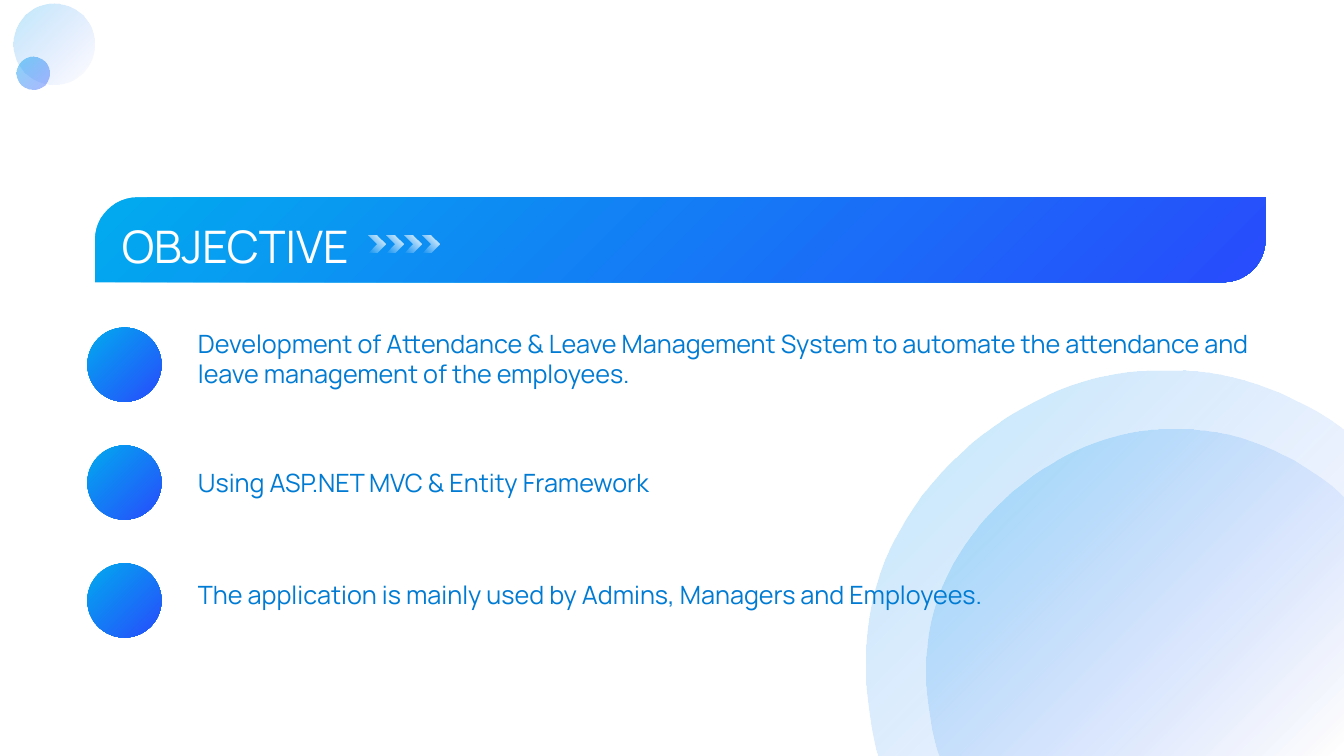
from lxml.etree import SubElement
from pptx import Presentation
from pptx.dml.color import RGBColor
from pptx.enum.shapes import MSO_SHAPE
from pptx.oxml.ns import qn
from pptx.util import Pt

HUES = {"sky": "01ABEF", "blue": "284BFC", "white": "FFFFFF",
        "text": "007BD3", "navy": "034373"}
SOLID = [("sky", 100), ("blue", 100)]
FAINT = [("sky", 26), ("blue", 0)]
MID = [("sky", 48), ("blue", 39)]
GLOW = [("white", 0), ("white", 100)]
INK = [("text", 100), ("navy", 100)]


def paint(fill, stops, angle=315):
    """Fill with a two-stop gradient of (hue, opacity) at a counter-clockwise angle."""
    fill.gradient()
    fill.gradient_angle = angle
    for stop, place, (hue, alpha) in zip(fill.gradient_stops, (0, 1), stops):
        stop.position = place
        stop.color.rgb = RGBColor.from_string(HUES[hue])
        if alpha < 100:
            SubElement(stop._gs[0], qn("a:alpha")).set("val", str(alpha * 1000))


def bend(shape, side, knots):
    """Turn a straight side of a freeform into a cubic curve with two control knots."""
    side.tag = qn("a:cubicBezTo")
    for place, (x, y) in enumerate(knots):
        point = SubElement(side, qn("a:pt"))
        point.set("x", str(Pt(x) - shape.left))
        point.set("y", str(Pt(y) - shape.top))
        side.insert(place, point)


deck = Presentation()
deck.slide_width, deck.slide_height = Pt(960), Pt(540)
slide = deck.slides.add_slide(deck.slide_layouts[6])
shapes = slide.shapes

# Title bar
bar = shapes.add_shape(MSO_SHAPE.ROUND_2_DIAG_RECTANGLE, Pt(67.9), Pt(141), Pt(836), Pt(60.6))
bar.adjustments[0], bar.adjustments[1] = 0.5, 0
bar.shadow.inherit = False
bar.line.fill.background()
paint(bar.fill, SOLID)

# Large corner discs: left, top right and bottom left curves
discs = [
    ([(619.2, 472.3), (615.6, 355), (733, 262.1), (827.3, 265)],
     [(838.1, 265), (882.7, 261.4), (940.3, 290.9), (960, 307.4)],
     [(627.8, 540), (623.5, 527.8), (618.5, 493.9), (619.2, 481.7)]),
    ([(661.7, 479.5), (658.8, 382.3), (756.7, 304.6), (834.5, 306.7)],
     [(843.8, 306.7), (887.8, 304.6), (937.4, 332.6), (960, 355.7)],
     [(671, 540), (666, 527.8), (661.7, 498.2), (661.7, 486.7)]),
]
for left, right, base in discs:
    ends = [left[0], left[3], right[0], right[3], (960, 540), base[0], base[3]]
    edge = [(Pt(x), Pt(y)) for x, y in ends]
    form = shapes.build_freeform(*edge[0])
    form.add_line_segments(edge[1:], close=True)
    disc = form.convert_to_shape()
    disc.shadow.inherit = False
    disc.line.fill.background()
    paint(disc.fill, FAINT)
    sides = list(disc._element.iter(qn("a:lnTo")))
    for index, curve in ((0, left), (2, right), (5, base)):
        bend(disc, sides[index], curve[1:3])

# Bubbles, bullet dots and chevrons: kind, left, top, size, stops, angle
marks = [(MSO_SHAPE.OVAL, 9.8, 2.6, 58, FAINT, 315),
         (MSO_SHAPE.OVAL, 11.7, 40.3, 23.8, MID, 315)]
marks += [(MSO_SHAPE.OVAL, 62.4, 234 + 84.2 * row, 53, SOLID, 315) for row in range(3)]
marks += [(MSO_SHAPE.CHEVRON, 263 + 12.9 * col, 168.2, 12.4, GLOW, 45) for col in range(4)]
for kind, left, top, size, stops, angle in marks:
    mark = shapes.add_shape(kind, Pt(left), Pt(top), Pt(size), Pt(size))
    mark.shadow.inherit = False
    mark.line.fill.background()
    paint(mark.fill, stops, angle)

# Text: left, top, width, height, size, wording
texts = [
    (79.9, 152.6, 188, 46, 32, "OBJECTIVE"),
    (134.3, 231.1, 769, 88, 18, "Development of Attendance & Leave Management System to "
     "automate the attendance and leave management of the employees."),
    (134.3, 330.5, 596, 43, 18, "Using ASP.NET MVC & Entity Framework"),
    (134.3, 410, 769, 29, 18,
     "The application is mainly used by Admins, Managers and Employees."),
]
for left, top, width, height, size, words in texts:
    frame = shapes.add_textbox(Pt(left), Pt(top), Pt(width), Pt(height)).text_frame
    frame.word_wrap = True
    frame.text = words
    font = frame.paragraphs[0].runs[0].font
    font.name, font.size = "Manrope", Pt(size)
    if size == 32:
        font.color.rgb = RGBColor.from_string(HUES["white"])
    else:
        paint(font.fill, INK, 0)

deck.save("out.pptx")
